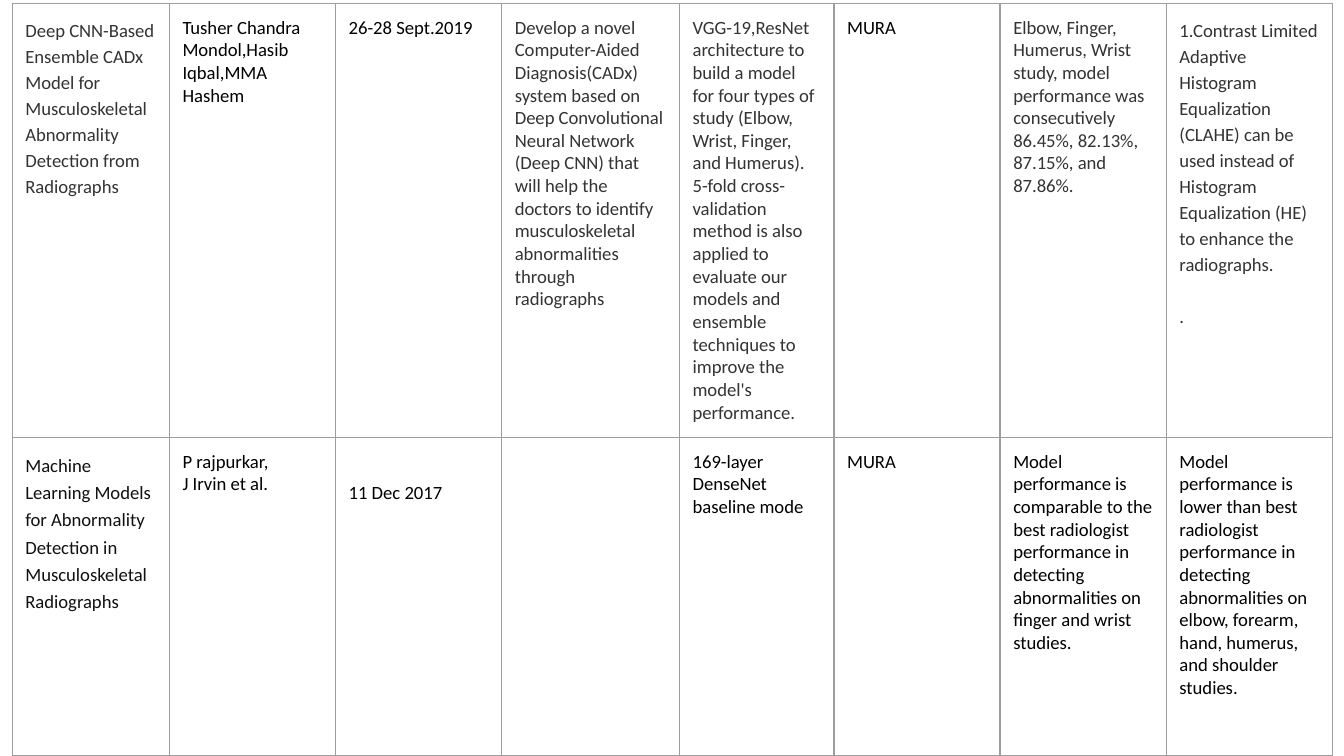
import lxml.etree
import pptx
import pptx.dml.color
import pptx.oxml.ns
import pptx.util

Cm, Pt = pptx.util.Cm, pptx.util.Pt
COLORS = {"black": "000000", "ink": "111111", "gray": "333333", "border": "9E9E9E"}


class Deck:
    """Holds the style and the current slide and draws its elements."""

    font, size, margin, border = "Calibri", Pt(10), Cm(0.25), Pt(0.75)

    def __init__(self, width, height):
        self.prs = pptx.Presentation()
        self.prs.slide_width, self.prs.slide_height = width, height
        self.s = self.prs.slides.add_slide(self.prs.slide_layouts[6])

    def table(self, left, top, widths, heights, rows):
        gf = self.s.shapes.add_table(len(heights), len(widths), left, top, sum(widths), sum(heights))
        tbl = gf.table
        tbl.first_row = tbl.horz_banding = False
        for col, width in zip(tbl.columns, widths):
            col.width = width
        for row, height, contents in zip(tbl.rows, heights, rows):
            row.height = height
            for cell, content in zip(row.cells, contents):
                self.cell(cell, **content)

    def cell(self, cell, lines=(), color="black", spacing=None, before=0, top=None):
        cell.margin_left = cell.margin_right = cell.margin_bottom = self.margin
        cell.margin_top = top or self.margin
        cell.fill.background()
        self.borders(cell)
        tf = cell.text_frame
        for i, line in enumerate(lines):
            p = tf.add_paragraph() if i else tf.paragraphs[0]
            p.space_before = Pt(before)
            if spacing:
                p.line_spacing = spacing
            r = p.add_run()
            r.text = line
            r.font.name, r.font.size = self.font, self.size
            r.font.color.rgb = pptx.dml.color.RGBColor.from_string(COLORS[color])

    def borders(self, cell):
        qn = pptx.oxml.ns.qn
        tcPr = cell._tc.get_or_add_tcPr()
        for i, side in enumerate(("a:lnL", "a:lnR", "a:lnT", "a:lnB")):
            ln = lxml.etree.Element(qn(side), w=str(int(self.border)))
            fill = lxml.etree.SubElement(ln, qn("a:solidFill"))
            lxml.etree.SubElement(fill, qn("a:srgbClr"), val=COLORS["border"])
            tcPr.insert(i, ln)


cnn_study = [
    dict(lines=["Deep CNN-Based Ensemble CADx Model for Musculoskeletal Abnormality "
                "Detection from Radiographs"], color="gray", spacing=1.15),
    dict(lines=["Tusher Chandra Mondol,Hasib Iqbal,MMA Hashem"]),
    dict(lines=["26-28 Sept.2019"]),
    dict(lines=["Develop a novel Computer-Aided Diagnosis(CADx) system based on Deep "
                "Convolutional Neural Network (Deep CNN) that will help the doctors to identify "
                "musculoskeletal abnormalities through radiographs"], color="gray"),
    dict(lines=["VGG-19,ResNet architecture to build a model for four types of study (Elbow, "
                "Wrist, Finger, and Humerus). 5-fold cross-validation method is also applied to "
                "evaluate our models and ensemble techniques to improve the model's "
                "performance."], color="gray"),
    dict(lines=["MURA"]),
    dict(lines=["Elbow, Finger, Humerus, Wrist study, model performance was consecutively "
                "86.45%, 82.13%, 87.15%, and 87.86%."], color="gray"),
    dict(lines=["1.Contrast Limited Adaptive Histogram Equalization (CLAHE) can be used instead "
                "of Histogram Equalization (HE) to enhance the radiographs.", "."],
         color="gray", spacing=1.15, before=14),
]
ml_study = [
    dict(lines=["Machine Learning Models for Abnormality Detection in Musculoskeletal "
                "Radiographs"], color="ink", spacing=1.2),
    dict(lines=["P rajpurkar,", "J Irvin et al."]),
    dict(lines=["11 Dec 2017"], top=Cm(0.84)),
    dict(),
    dict(lines=["169-layer DenseNet baseline mode"]),
    dict(lines=["MURA"]),
    dict(lines=["Model performance is comparable to the best radiologist performance in "
                "detecting abnormalities on finger and wrist studies."]),
    dict(lines=["Model performance is lower than best radiologist performance in detecting "
                "abnormalities on elbow, forearm, hand, humerus, and shoulder studies."]),
]

deck = Deck(Cm(25.4), Cm(14.29))
widths = [Cm(w) for w in (2.97, 3.14, 3.14, 3.36, 2.92, 3.14, 3.14, 3.14)]
deck.table(Cm(0.23), Cm(0.06), widths, [Cm(7.87), Cm(6.02)], [cnn_study, ml_study])
deck.prs.save("out.pptx")
